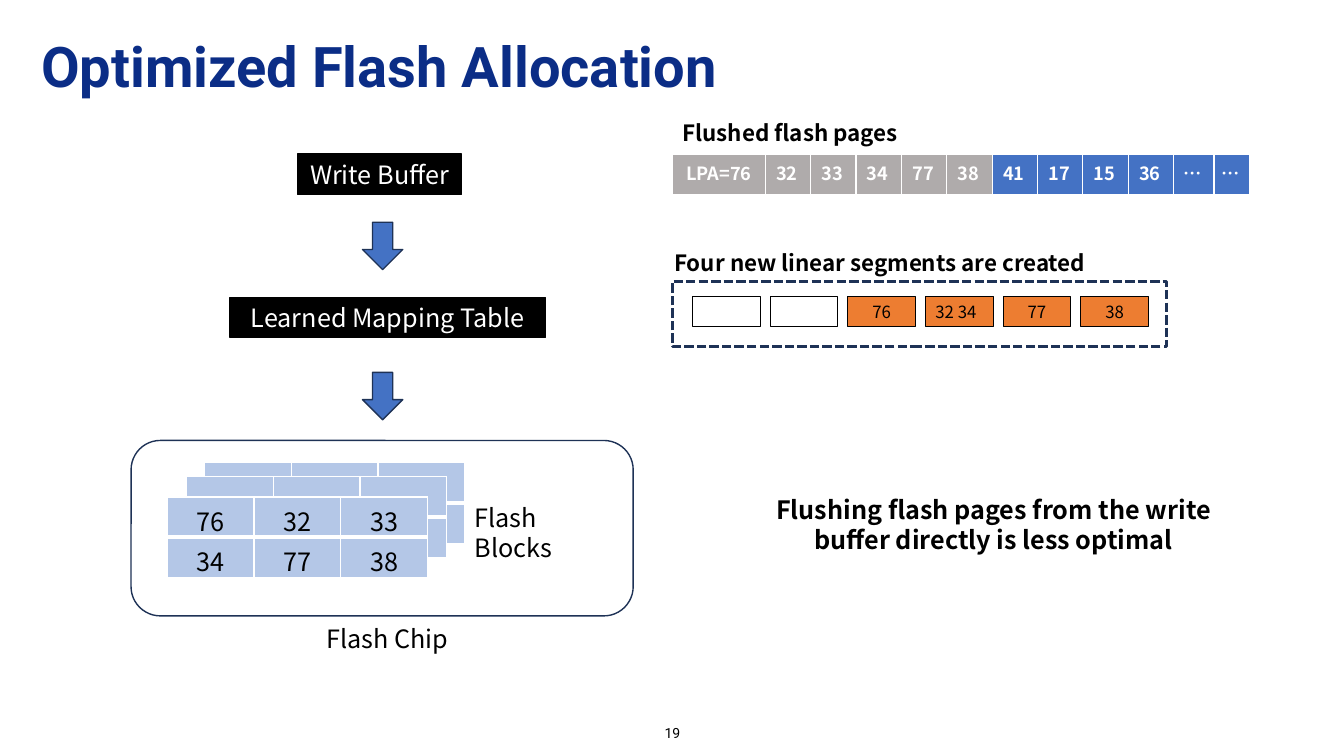
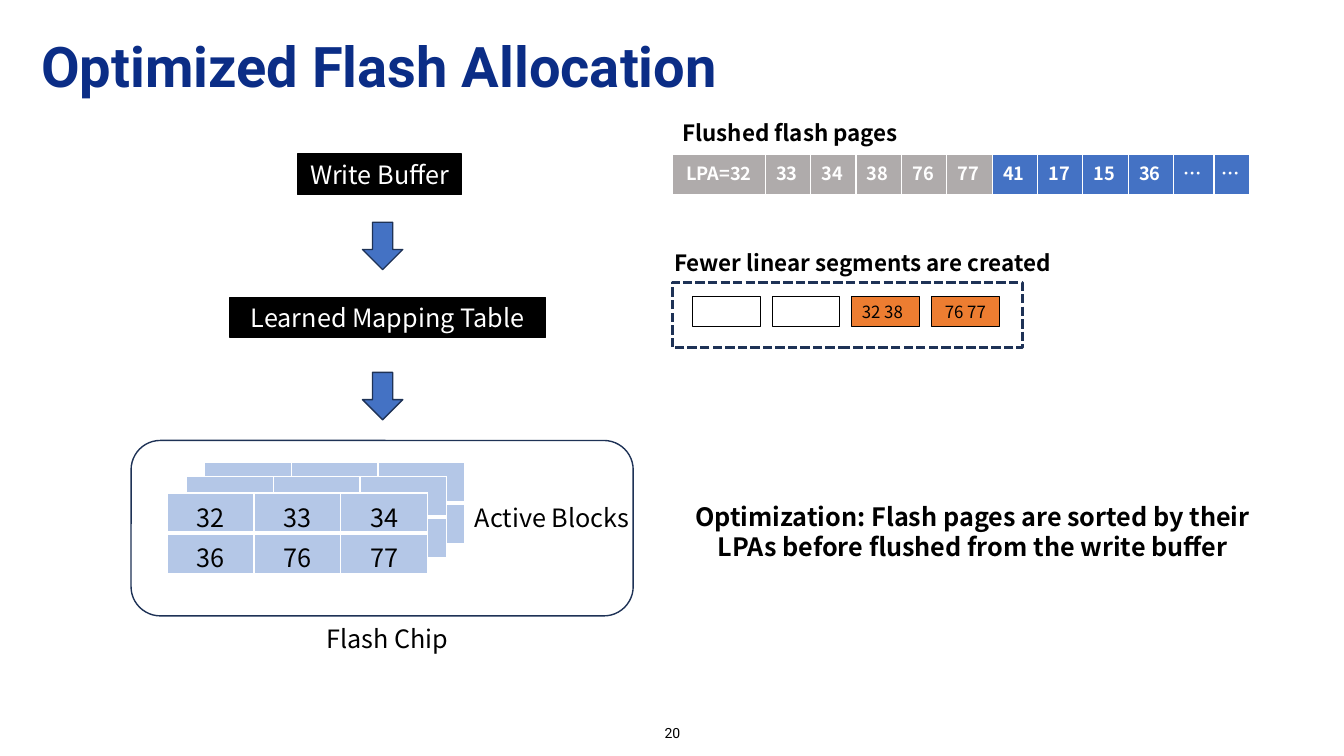
"""Build two slides comparing flash page allocation before and after sorting."""
import pptx
import pptx.dml.color
import pptx.enum.dml
import pptx.enum.shapes
import pptx.enum.text
import pptx.oxml
import pptx.oxml.ns
import pptx.util

Inches, Pt = pptx.util.Inches, pptx.util.Pt
SHAPE = pptx.enum.shapes.MSO_SHAPE
ALIGN = pptx.enum.text.PP_ALIGN
ANCHOR = pptx.enum.text.MSO_ANCHOR
AUTO = pptx.enum.text.MSO_AUTO_SIZE

COLORS = {
    "title": "0B2D86", "outline": "1E3256", "black": "000000", "white": "FFFFFF",
    "arrow": "4472C4", "waiting": "4472C4", "flushed": "AFABAB",
    "block": "B4C7E7", "segment": "ED7D31",
}
HEAD_FONT, BODY_FONT = "Roboto", "Noto Sans CJK KR"

TITLE = "Optimized Flash Allocation"
STAGES = [("Write Buffer", (2.95, 1.53, 1.63, 0.4)),
          ("Learned Mapping Table", (2.28, 2.95, 3.13, 0.4))]
ARROW_TOPS = [2.24, 3.73]
BACK_BLOCKS = [(2.03, 4.59), (1.85, 4.73)]
EMPTY_BLOCK = [[""] * 3] * 2
WAITING_PAGES = ["41", "17", "15", "36", "…", "…"]
PAGE_WIDTHS = [0.92] + [0.45] * 9 + [0.4, 0.35]

SLIDES = [
    {
        "number": "19",
        "flushed": ["LPA=76", "32", "33", "34", "77", "38"],
        "heading": "Four new linear segments are created",
        "frame": (6.67, 2.79, 4.9, 0.65),
        "pitch": 0.77,
        "segments": ["", "", "76", "32 34", "77", "38"],
        "left_aligned": "32 34",
        "label": ("Flash Blocks", 1.58),
        "block_top": 4.93,
        "block": [["76", "32", "33"], ["34", "77", "38"]],
        "message": "Flushing flash pages from the write buffer directly is less optimal",
        "message_box": (7.47, 4.85, 4.77, 0.71),
    },
    {
        "number": "20",
        "flushed": ["LPA=32", "33", "34", "38", "76", "77"],
        "heading": "Fewer linear segments are created",
        "frame": (6.67, 2.8, 3.47, 0.65),
        "pitch": 0.79,
        "segments": ["", "", "32 38", "76 77"],
        "left_aligned": "32 38",
        "label": ("Active Blocks", 1.81),
        "block_top": 4.89,
        "block": [["32", "33", "34"], ["36", "76", "77"]],
        "message": "Optimization: Flash pages are sorted by their LPAs "
                   "before flushed from the write buffer",
        "message_box": (6.64, 4.92, 6.01, 0.71),
    },
]


def rgb(name):
    return pptx.dml.color.RGBColor.from_string(COLORS[name])


def write(tf, text, size, color="black", bold=False, align=ALIGN.LEFT, font=BODY_FONT):
    p = tf.paragraphs[0]
    p.alignment = align
    r = p.add_run()
    r.text = text
    r.font.name, r.font.size, r.font.bold = font, Pt(size), bold
    r.font.color.rgb = rgb(color)
    return p


def add_text(s, box, text, size, **style):
    sp = s.shapes.add_textbox(*map(Inches, box))
    tf = sp.text_frame
    tf.word_wrap = True
    tf.auto_size = AUTO.SHAPE_TO_FIT_TEXT
    write(tf, text, size, **style)
    return sp


def add_box(s, kind, box, fill=None, line="black", width=1.0):
    sp = s.shapes.add_shape(kind, *map(Inches, box))
    sp.shadow.inherit = False
    if fill:
        sp.fill.solid()
        sp.fill.fore_color.rgb = rgb(fill)
    else:
        sp.fill.background()
    sp.line.color.rgb = rgb(line)
    sp.line.width = Pt(width)
    return sp


def add_label_box(s, box, text, size, color, align=ALIGN.CENTER, **look):
    sp = add_box(s, SHAPE.RECTANGLE, box, **look)
    if text:
        tf = sp.text_frame
        tf.word_wrap = True
        tf.auto_size = AUTO.SHAPE_TO_FIT_TEXT
        tf.vertical_anchor = ANCHOR.TOP
        write(tf, text, size, color, align=align)


def set_borders(cell, widths):
    tc_pr = cell._tc.get_or_add_tcPr()
    for side, width in widths.items():
        tc_pr.append(pptx.oxml.parse_xml(
            f'<a:ln{side} {pptx.oxml.ns.nsdecls("a")} w="{Pt(width)}"><a:solidFill>'
            f'<a:srgbClr val="{COLORS["white"]}"/></a:solidFill></a:ln{side}>'))


def add_grid(s, left, top, widths, height, rows, fills, size, color, bold=False):
    frame = s.shapes.add_table(len(rows), len(widths), Inches(left), Inches(top),
                               Inches(sum(widths)), Inches(height * len(rows)))
    table = frame.table
    table.first_row = table.horz_banding = False
    for col, width in zip(table.columns, widths):
        col.width = Inches(width)
    for i, row in enumerate(rows):
        for j, text in enumerate(row):
            cell = table.cell(i, j)
            set_borders(cell, {"L": 1, "R": 1, "T": 3 if i else 1, "B": 1 if i else 3})
            cell.fill.solid()
            cell.fill.fore_color.rgb = rgb(fills[j])
            if text:
                write(cell.text_frame, text, size, color, bold, ALIGN.CENTER)
    return table


def add_block(s, left, top, rows):
    add_grid(s, left, top, [0.86] * 3, 0.4, rows, ["block"] * 3, 18, "black")


def add_title_and_number(s, number):
    sp = s.shapes.title
    sp.left, sp.top, sp.width, sp.height = map(Inches, (0.31, 0.23, 9.71, 0.91))
    tf = sp.text_frame
    tf.auto_size = AUTO.NONE
    tf.vertical_anchor = ANCHOR.MIDDLE
    write(tf, TITLE, 40, "title", True, font=HEAD_FONT).line_spacing = 0.9
    sp = add_text(s, (5.17, 7.11, 3, 0.32), number, 10, align=ALIGN.CENTER, font=HEAD_FONT)
    sp.text_frame.auto_size = AUTO.NONE
    sp.text_frame.vertical_anchor = ANCHOR.MIDDLE


def add_write_path(s, data):
    for text, box in STAGES:
        add_label_box(s, box, text, 18, "white", fill="black")
    for left, top in BACK_BLOCKS:
        add_block(s, left, top, EMPTY_BLOCK)
    label, width = data["label"]
    add_text(s, (4.61, 4.93, width, 0.4), label, 18)
    add_text(s, (3.14, 6.13, 2.58, 0.4), "Flash Chip", 18)
    add_box(s, SHAPE.ROUNDED_RECTANGLE, (1.3, 4.37, 4.98, 1.74), line="outline")
    for top in ARROW_TOPS:
        sp = add_box(s, SHAPE.RIGHT_ARROW, (3.56, top, 0.47, 0.4), "arrow", "outline")
        sp.rotation = 90
    add_block(s, 1.66, data["block_top"], data["block"])


def add_pages(s, flushed):
    add_text(s, (6.67, 1.13, 4.09, 0.37), "Flushed flash pages", 16, bold=True)
    fills = ["flushed"] * len(flushed) + ["waiting"] * len(WAITING_PAGES)
    table = add_grid(s, 6.67, 1.53, PAGE_WIDTHS, 0.41, [flushed + WAITING_PAGES],
                     fills, 13, "white", True)
    for j in range(1, len(PAGE_WIDTHS)):
        table.cell(0, j).margin_left = Inches(0.08)


def add_segments(s, data):
    add_text(s, (6.59, 2.42, 4.62, 0.37), data["heading"], 16, bold=True)
    frame = add_box(s, SHAPE.RECTANGLE, data["frame"], "white", "outline", 2.25)
    frame.line.dash_style = pptx.enum.dml.MSO_LINE.SQUARE_DOT
    for i, text in enumerate(data["segments"]):
        align = ALIGN.LEFT if text == data["left_aligned"] else ALIGN.CENTER
        add_label_box(s, (6.87 + i * data["pitch"], 2.94, 0.67, 0.3), text, 12, "black",
                      align, fill="segment" if text else "white", width=0.75)


def main():
    prs = pptx.Presentation()
    prs.slide_width, prs.slide_height = Inches(13.33), Inches(7.5)
    for data in SLIDES:
        s = prs.slides.add_slide(prs.slide_layouts[5])
        add_title_and_number(s, data["number"])
        add_write_path(s, data)
        add_pages(s, data["flushed"])
        add_segments(s, data)
        add_text(s, data["message_box"], data["message"], 18, bold=True, align=ALIGN.CENTER)
    prs.save("out.pptx")


if __name__ == "__main__":
    main()
